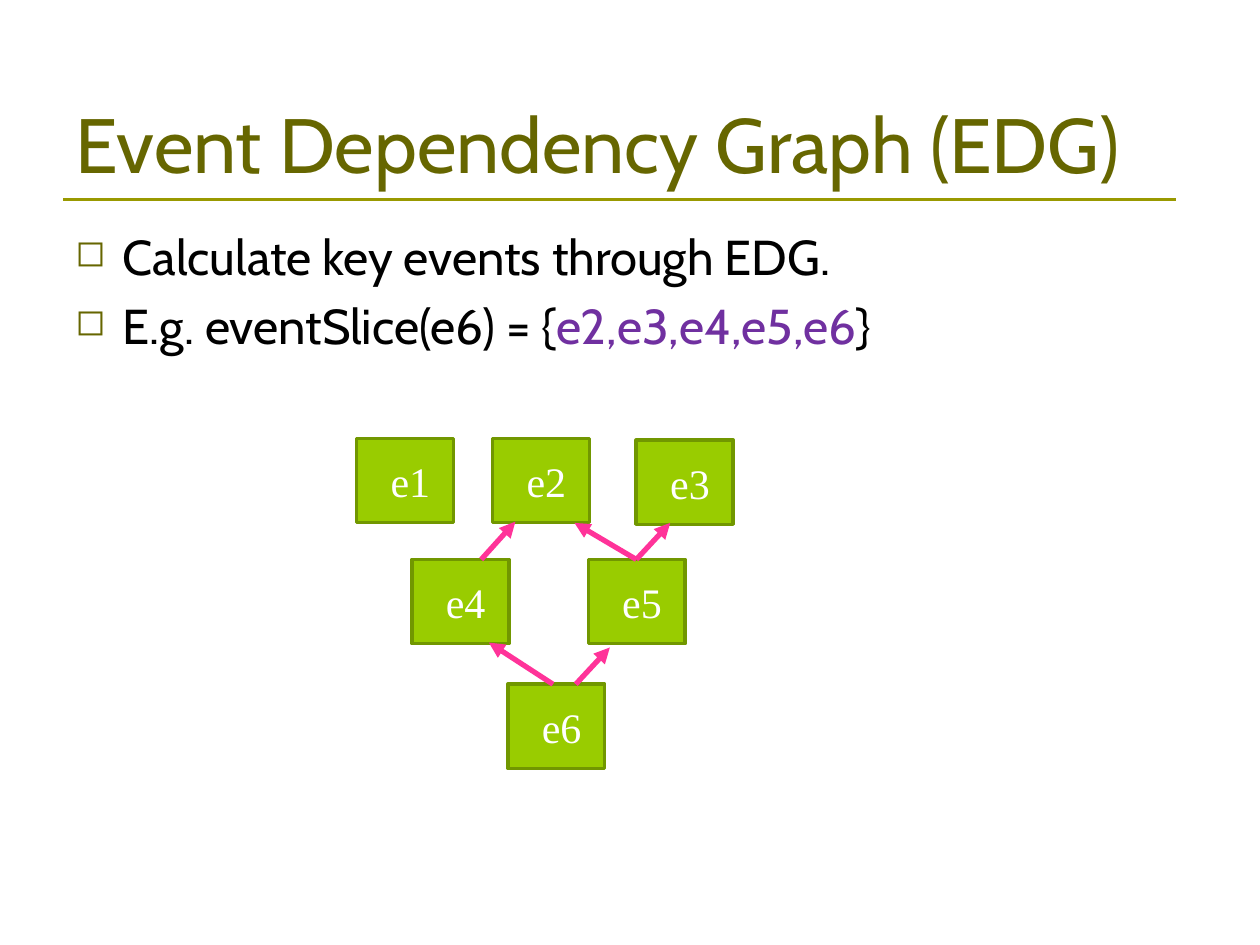
from lxml import etree
from pptx import Presentation
from pptx import util as u
from pptx.dml.color import RGBColor
from pptx.enum import shapes, text
from pptx.oxml.ns import qn

COLORS = {"olive": "666600", "rule": "999900", "black": "000000", "purple": "7030A0",
          "green": "99CC00", "border": "719700", "white": "FFFFFF", "pink": "FF3399"}
TITLE = "Event Dependency Graph (EDG)"
BULLETS = [
    [("Calculate key events through EDG.", "black")],
    [("E.g. eventSlice(e6) = {", "black"), ("e2,e3,e4,e5,e6", "purple"), ("}", "black")],
]
NODE_WIDTH, NODE_HEIGHT = 55.4, 48.2
NODES = {  # left, top
    "e1": (203.8, 250.5), "e2": (281.5, 250.5), "e3": (363.6, 251.5),
    "e4": (235.4, 319.7), "e5": (336.2, 319.7), "e6": (290.2, 391),
}
DEPENDENCIES = [  # event, x on its top edge, arrow tip
    ("e6", 329, (348.5, 370)),
    ("e6", 316, (279.4, 367.2)),
    ("e4", 275, (294.5, 298.1)),
    ("e5", 363.6, (328.3, 298.8)),
    ("e5", 363.6, (383, 298.8)),
]


def color(name):
    return RGBColor.from_string(COLORS[name])


def style(font, face, size, color_name):
    font.name, font.size = face, u.Pt(size)
    font.color.rgb = color(color_name)


def add_text_box(page, left, top, width, height):
    box = page.shapes.add_textbox(u.Pt(left), u.Pt(top), u.Pt(width), u.Pt(height))
    box.text_frame.word_wrap = True
    return box.text_frame


def add_bullet(para):
    properties = para._p.get_or_add_pPr()
    properties.set("marL", str(u.Pt(27)))
    properties.set("indent", str(u.Pt(-27)))
    bullet_color = etree.SubElement(properties, qn("a:buClr"))
    etree.SubElement(bullet_color, qn("a:srgbClr"), val=COLORS["olive"])
    etree.SubElement(properties, qn("a:buSzPct"), val="75000")
    etree.SubElement(properties, qn("a:buChar"), char="◻")


def add_line(page, start, end, color_name, width):
    line = page.shapes.add_connector(shapes.MSO_CONNECTOR.STRAIGHT,
                                     *(u.Pt(value) for value in (*start, *end)))
    line.line.color.rgb = color(color_name)
    line.line.width = u.Pt(width)
    etree.SubElement(line._element.spPr, qn("a:effectLst"))
    return line


def add_node(page, label, left, top):
    node = page.shapes.add_shape(shapes.MSO_SHAPE.RECTANGLE, u.Pt(left), u.Pt(top),
                                 u.Pt(NODE_WIDTH), u.Pt(NODE_HEIGHT))
    node.shadow.inherit = False
    node.fill.solid()
    node.fill.fore_color.rgb = color("green")
    node.line.color.rgb = color("border")
    node.line.width = u.Pt(2)
    frame = node.text_frame
    frame.margin_left = u.Pt(6)
    frame.margin_right = frame.margin_top = frame.margin_bottom = 0
    frame.vertical_anchor = text.MSO_ANCHOR.MIDDLE
    frame.text = label
    para = frame.paragraphs[0]
    para.alignment = text.PP_ALIGN.CENTER
    style(para.runs[0].font, "Times New Roman", 24, "white")


def main():
    deck = Presentation()
    deck.slide_width, deck.slide_height = u.Pt(720), u.Pt(540)
    page = deck.slides.add_slide(deck.slide_layouts[6])

    add_line(page, (36, 114), (672, 114), "rule", 1.5)

    title = add_text_box(page, 36, 21.6, 648, 90)
    title.vertical_anchor = text.MSO_ANCHOR.BOTTOM
    title.text = TITLE
    style(title.paragraphs[0].runs[0].font, "Cabin", 44, "olive")

    body = add_text_box(page, 36, 126, 648, 81)
    for index, pieces in enumerate(BULLETS):
        para = body.add_paragraph() if index else body.paragraphs[0]
        add_bullet(para)
        if index:
            para.space_before = u.Pt(5.6)
        for words, color_name in pieces:
            span = para.add_run()
            span.text = words
            style(span.font, "Cabin", 28, color_name)

    for label, (left, top) in NODES.items():
        add_node(page, label, left, top)
    for event, x, tip in DEPENDENCIES:
        arrow = add_line(page, (x, NODES[event][1]), tip, "pink", 3)
        etree.SubElement(arrow.line._get_or_add_ln(), qn("a:tailEnd"), type="triangle")

    deck.save("out.pptx")


if __name__ == "__main__":
    main()
